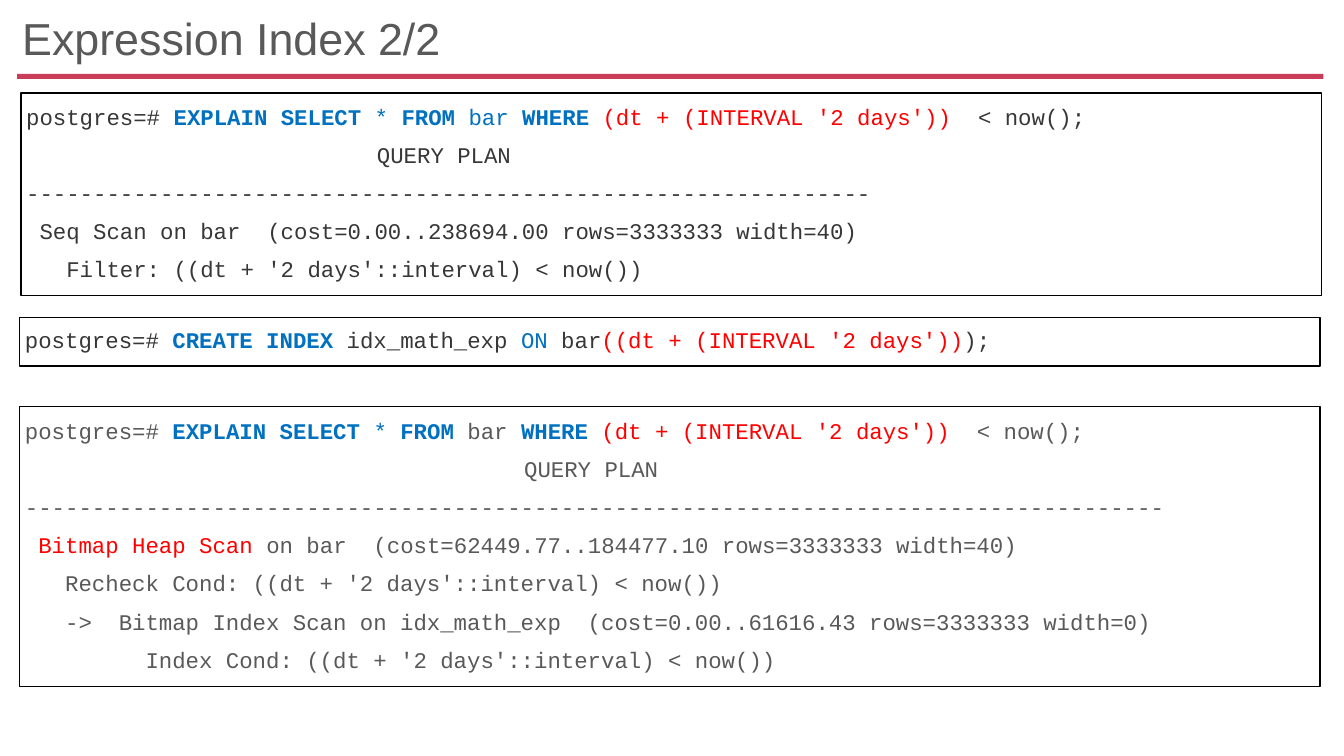
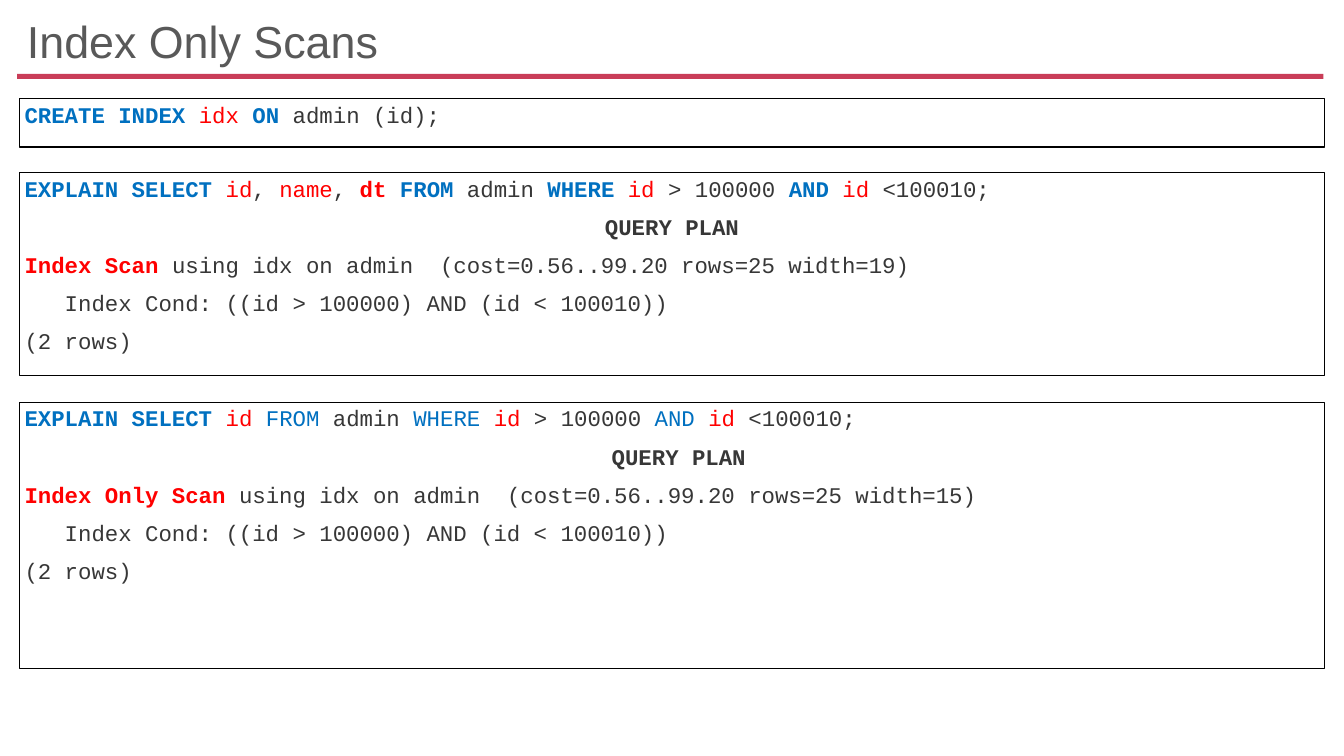
from dataclasses import dataclass, field

from pptx import Presentation
from pptx.dml.color import RGBColor
from pptx.enum.shapes import MSO_SHAPE
from pptx.enum.text import MSO_ANCHOR, PP_ALIGN
from pptx.util import Cm, Pt

RECTANGLE = MSO_SHAPE.RECTANGLE
TOP, MIDDLE = MSO_ANCHOR.TOP, MSO_ANCHOR.MIDDLE
LEFT, CENTER = PP_ALIGN.LEFT, PP_ALIGN.CENTER


@dataclass(frozen=True)
class Theme:
    title_font: str = "Arial"
    code_font: str = "Courier New"
    title_size: int = 32
    code_size: int = 16
    grey: str = "595959"
    dark: str = "373737"
    blue: str = "0070C0"
    red: str = "FF0000"
    band: str = "C93D58"
    border: str = "000000"
    line_spacing: float = 0.9
    space_before: int = 10
    inset: float = 0.13
    char_width: float = 0.34


THEME = Theme()


@dataclass(frozen=True)
class Span:
    text: str
    color: str = ""
    bold: bool = False


@dataclass(frozen=True)
class Line:
    spans: list = field(default_factory=list)
    align: int = LEFT
    indent: int = 0


def keyword(text):
    return Span(text, THEME.blue, True)


def blue(text):
    return Span(text, THEME.blue)


def red(text, bold=False):
    return Span(text, THEME.red, bold)


def code(*spans):
    return Line([Span(s) if isinstance(s, str) else s for s in spans])


def plan_heading(indent=0, align=LEFT, bold=False):
    return Line([Span("QUERY PLAN", bold=bold)], align, indent)


def rgb(value):
    return RGBColor.from_string(value)


def set_frame(frame, anchor, side_inset=THEME.inset):
    frame.word_wrap = True
    frame.vertical_anchor = anchor
    frame.margin_left = frame.margin_right = Cm(side_inset)
    frame.margin_top = frame.margin_bottom = Cm(THEME.inset)


def add_run(paragraph, text, font, size, color, bold=False):
    run = paragraph.add_run()
    run.text = text
    run.font.name = font
    run.font.size = Pt(size)
    run.font.bold = bold
    run.font.color.rgb = rgb(color)


def add_rectangle(slide, left, top, width, height):
    rectangle = slide.shapes.add_shape(
        RECTANGLE, Cm(left), Cm(top), Cm(width), Cm(height))
    rectangle.shadow.inherit = False
    return rectangle


def add_titled_slide(deck, title, anchor, side_inset):
    slide = deck.slides.add_slide(deck.slide_layouts[6])
    band = add_rectangle(slide, 0.43, 1.86, 32.92, 0.13)
    band.fill.solid()
    band.fill.fore_color.rgb = rgb(THEME.band)
    band.line.fill.background()

    heading = slide.shapes.add_textbox(Cm(0.43), Cm(0.38), Cm(32.92), Cm(1.32))
    set_frame(heading.text_frame, anchor, side_inset)
    paragraph = heading.text_frame.paragraphs[0]
    paragraph.line_spacing = THEME.line_spacing
    add_run(paragraph, title, THEME.title_font, THEME.title_size, THEME.grey)
    return slide


def add_code_panel(slide, box, lines, anchor, color=THEME.dark):
    panel = add_rectangle(slide, *box)
    panel.fill.background()
    panel.line.color.rgb = rgb(THEME.border)
    panel.line.width = Pt(1)
    frame = panel.text_frame
    set_frame(frame, anchor)
    for index, line in enumerate(lines):
        paragraph = frame.add_paragraph() if index else frame.paragraphs[0]
        paragraph.alignment = line.align
        paragraph.line_spacing = THEME.line_spacing
        paragraph.space_before = Pt(THEME.space_before if index else 0)
        if line.indent:
            margin = Cm(line.indent * THEME.char_width)
            paragraph._p.get_or_add_pPr().set("marL", str(margin))
        for span in line.spans:
            add_run(paragraph, span.text, THEME.code_font, THEME.code_size,
                    span.color or color, span.bold)


def explain_interval(table):
    return code("postgres=# ", keyword("EXPLAIN SELECT"), blue(" * "),
                keyword("FROM "), table, keyword("WHERE "),
                red("(dt + (INTERVAL '2 days'))"), "  < now();")


def admin_plan(scan, cost, heading_indent=0):
    return [
        plan_heading(heading_indent, CENTER, bold=True),
        code(red(scan, bold=True), f" using idx on admin  (cost={cost})"),
        code("   Index Cond: ((id > 100000) AND (id < 100010))"),
        code("(2 rows)"),
    ]


def build_expression_index(deck):
    slide = add_titled_slide(deck, "Expression Index 2/2", MIDDLE, THEME.inset)
    width = 32.77
    add_code_panel(slide, (0.53, 2.34, width, 5.11), [
        explain_interval(blue("bar ")),
        plan_heading(indent=26),
        code("-" * 63),
        code(" Seq Scan on bar  (cost=0.00..238694.00 rows=3333333 width=40)"),
        code("   Filter: ((dt + '2 days'::interval) < now())"),
    ], MIDDLE)
    add_code_panel(slide, (0.5, 8, width, 1.22), [
        code("postgres=# ", keyword("CREATE INDEX "), "idx_math_exp ",
             blue("ON"), " bar", red("((dt + (INTERVAL '2 days'))"), ");"),
    ], MIDDLE)
    add_code_panel(slide, (0.5, 10.24, width, 7.06), [
        explain_interval("bar "),
        plan_heading(indent=37),
        code("-" * 85),
        code(" ", red("Bitmap Heap Scan "),
             "on bar  (cost=62449.77..184477.10 rows=3333333 width=40)"),
        code("   Recheck Cond: ((dt + '2 days'::interval) < now())"),
        code("   ->  Bitmap Index Scan on idx_math_exp"
             "  (cost=0.00..61616.43 rows=3333333 width=0)"),
        code("         Index Cond: ((dt + '2 days'::interval) < now())"),
    ], MIDDLE, THEME.grey)


def build_index_only_scans(deck):
    slide = add_titled_slide(deck, "Index Only Scans", TOP, 0.25)
    left, width = 0.49, 32.89
    add_code_panel(slide, (left, 2.49, width, 1.22), [
        code(keyword("CREATE INDEX "), red("idx "), keyword("ON"),
             " admin (id);"),
    ], TOP)
    add_code_panel(slide, (left, 4.35, width, 5.11), [
        code(keyword("EXPLAIN SELECT "), red("id"), ", ", red("name"), ", ",
             red("dt ", bold=True), keyword("FROM"), " admin ",
             keyword("WHERE "), red("id"), " > 100000 ", keyword("AND "),
             red("id"), " <100010;"),
        *admin_plan("Index Scan", "0.56..99.20 rows=25 width=19"),
    ], TOP)
    add_code_panel(slide, (left, 10.14, width, 6.71), [
        code(keyword("EXPLAIN SELECT "), red("id "), blue("FROM"), " admin ",
             blue("WHERE "), red("id"), " > 100000 ", blue("AND "), red("id"),
             " <100010;"),
        *admin_plan("Index Only Scan", "0.56..99.20 rows=25 width=15",
                    heading_indent=1),
    ], TOP)


def main():
    deck = Presentation()
    deck.slide_width = Cm(33.87)
    deck.slide_height = Cm(19.05)
    build_expression_index(deck)
    build_index_only_scans(deck)
    deck.save("out.pptx")


if __name__ == "__main__":
    main()
